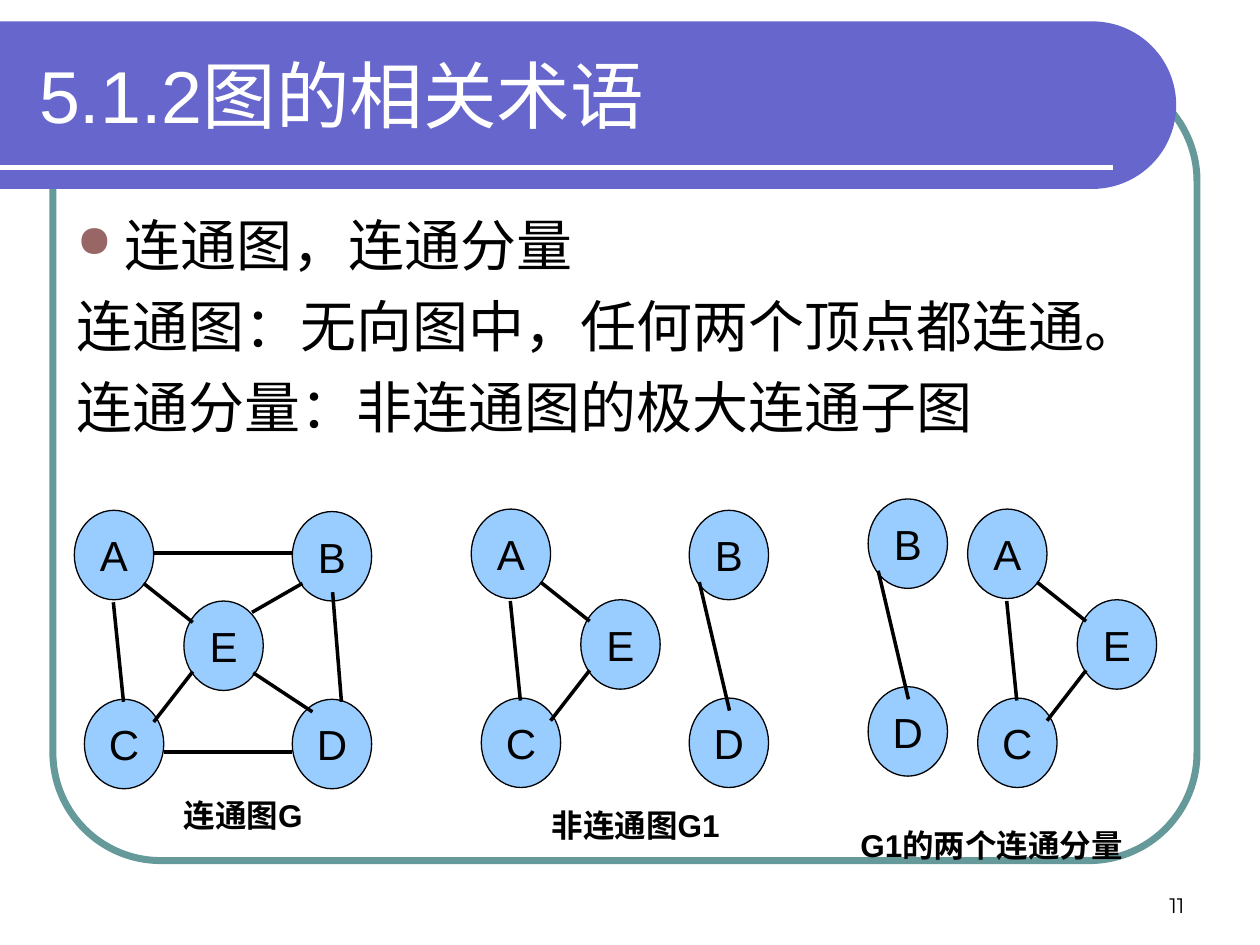
from math import cos, pi, sin
from lxml.etree import SubElement
from pptx import Presentation
from pptx.dml.color import RGBColor
from pptx.enum.shapes import MSO_CONNECTOR, MSO_SHAPE
from pptx.enum.text import MSO_ANCHOR, MSO_AUTO_SIZE, PP_ALIGN
from pptx.oxml.ns import qn
from pptx.util import Inches, Pt

WHITE = RGBColor(255, 255, 255)
BLACK = RGBColor(0, 0, 0)
TEAL = RGBColor(0x66, 0x99, 0x99)
VIOLET = RGBColor(0x66, 0x66, 0xCC)
BLUE = RGBColor(0x99, 0xCC, 0xFF)
ROSE = RGBColor(0x99, 0x66, 0x66)

NODE = (0.63, 0.71)
TRIO = {"A": (0, 0), "C": (0.08, 1.5), "E": (0.87, 0.72)}
RING = [(0.55, 0.58, 0.94, 0.89), (0.31, 0.73, 0.39, 1.52),
        (0.63, 1.68, 0.94, 1.28)]
PAIR = {"B": (0, 0), "D": (0, 1.49)}
LINK = [(0.08, 0.57, 0.32, 1.59)]
FULL = {**TRIO, "B": (1.73, 0.01), "D": (1.73, 1.5)}
WEB = RING + [(1.42, 1.29, 1.89, 1.6), (2.05, 0.65, 2.12, 1.52),
              (0.63, 0.34, 1.73, 0.34), (0.71, 1.92, 1.73, 1.92),
              (1.81, 0.58, 1.41, 0.81)]
GRAPHS = [(0.59, 4.05, FULL, WEB),
          (3.74, 4.04, TRIO, RING), (5.47, 4.05, PAIR, LINK),
          (7.68, 4.04, TRIO, RING), (6.89, 3.96, PAIR, LINK)]
LABELS = [("连通图G", (1.22, 6.27, 1.42, 0.4)),
          ("非连通图G1", (4.06, 6.35, 1.97, 0.4)),
          ("G1的两个连通分量", (6.57, 6.51, 2.6, 0.4))]
BODY = ["连通图，连通分量", "连通图：无向图中，任何两个顶点都连通。",
        "连通分量：非连通图的极大连通子图"]


def put(item, form):
    for name, value in form.items():
        setattr(item, name, value)


def style(par, size, color=BLACK, align=PP_ALIGN.LEFT, name="Arial", bold=False):
    par.alignment = align
    put(par.font, {"size": Pt(size), "name": name, "bold": bold})
    par.font.color.rgb = color


def add_text(slide, text, box, **form):
    frame = slide.shapes.add_textbox(*map(Inches, box)).text_frame
    put(frame, {"word_wrap": True, "text": text})
    for par in frame.paragraphs:
        style(par, **form)
    return frame


def add_line(slide, ends, color, width):
    line = slide.shapes.add_connector(MSO_CONNECTOR.STRAIGHT, *map(Inches, ends))
    line.line.color.rgb = color
    line.line.width = Pt(width)
    SubElement(line.element.spPr, qn("a:effectLst"))


def add_node(slide, text, x, y):
    node = slide.shapes.add_shape(MSO_SHAPE.OVAL, *map(Inches, (x, y, *NODE)))
    node.shadow.inherit = False
    node.fill.solid()
    node.fill.fore_color.rgb = BLUE
    node.line.color.rgb = BLACK
    node.line.width = Pt(0.75)
    frame = node.text_frame
    put(frame, {"text": text, "word_wrap": False,
                "vertical_anchor": MSO_ANCHOR.MIDDLE})
    style(frame.paragraphs[0], 24, align=PP_ALIGN.CENTER)


def add_graph(slide, x, y, nodes, edges):
    for text, (dx, dy) in nodes.items():
        add_node(slide, text, x + dx, y + dy)
    for a, b, c, d in edges:
        add_line(slide, (x + a, y + b, x + c, y + d), BLACK, 2)


def add_frame(slide):
    frame = slide.shapes.add_shape(MSO_SHAPE.ROUNDED_RECTANGLE,
                                   *map(Inches, (0.42, 0.58, 9.08, 6.25)))
    frame.shadow.inherit = False
    frame.adjustments[0] = 0.137
    frame.fill.background()
    frame.line.color.rgb = TEAL
    frame.line.width = Pt(4)


def add_band(slide):
    top, low, mid, steps = 0.17, 1.5, 8.67, 48
    rad = (low - top) / 2
    turns = [pi * i / steps - pi / 2 for i in range(steps + 1)]
    arc = [(Inches(mid + rad * cos(t)), Inches(top + rad + rad * sin(t)))
           for t in turns]
    build = slide.shapes.build_freeform(0, Inches(top))
    build.add_line_segments(arc + [(0, Inches(low))])
    band = build.convert_to_shape()
    band.shadow.inherit = False
    band.fill.solid()
    band.fill.fore_color.rgb = VIOLET
    band.line.fill.background()
    add_line(slide, (0, 1.33, 8.83, 1.33), WHITE, 3)


def add_title(slide, text):
    title = slide.shapes.title
    title.element.getparent().append(title.element)
    box = map(Inches, (0.21, 0.25, 8.77, 1))
    put(title, dict(zip(("left", "top", "width", "height"), box)))
    frame = title.text_frame
    put(frame, {"text": text, "auto_size": MSO_AUTO_SIZE.NONE,
                "vertical_anchor": MSO_ANCHOR.MIDDLE})
    style(frame.paragraphs[0], 42, WHITE)


def add_body(slide):
    frame = add_text(slide, "\n".join(BODY), (0.51, 1.62, 8.67, 2.2), size=32)
    for i, par in enumerate(frame.paragraphs):
        props = par._p.get_or_add_pPr()
        put_in = {"marL": Inches(0.38), "indent": Inches(-0.38)}
        for name, value in put_in.items():
            props.set(name, str(value))
        if i:
            par.space_before = Pt(8)
    add_bullet(frame.paragraphs[0])


def add_bullet(par):
    props = par._p.get_or_add_pPr()
    parts = [SubElement(props, qn("a:buClr")), SubElement(props, qn("a:buSzPct")),
             SubElement(props, qn("a:buChar"))]
    SubElement(parts[0], qn("a:srgbClr")).set("val", str(ROSE))
    parts[1].set("val", "80000")
    parts[2].set("char", "●")
    props.append(props.find(qn("a:defRPr")))


def main():
    deck = Presentation()
    put(deck, {"slide_width": Inches(10), "slide_height": Inches(7.5)})
    slide = deck.slides.add_slide(deck.slide_layouts[5])
    add_frame(slide)
    add_band(slide)
    add_title(slide, "5.1.2图的相关术语")
    add_body(slide)
    for graph in GRAPHS:
        add_graph(slide, *graph)
    for text, box in LABELS:
        add_text(slide, text, box, size=18, align=PP_ALIGN.CENTER, bold=True)
    page = add_text(slide, "11", (7.17, 6.83, 2.33, 0.5), size=12,
                    align=PP_ALIGN.RIGHT, name="Montserrat")
    page.vertical_anchor = MSO_ANCHOR.BOTTOM
    deck.save("out.pptx")


if __name__ == "__main__":
    main()
